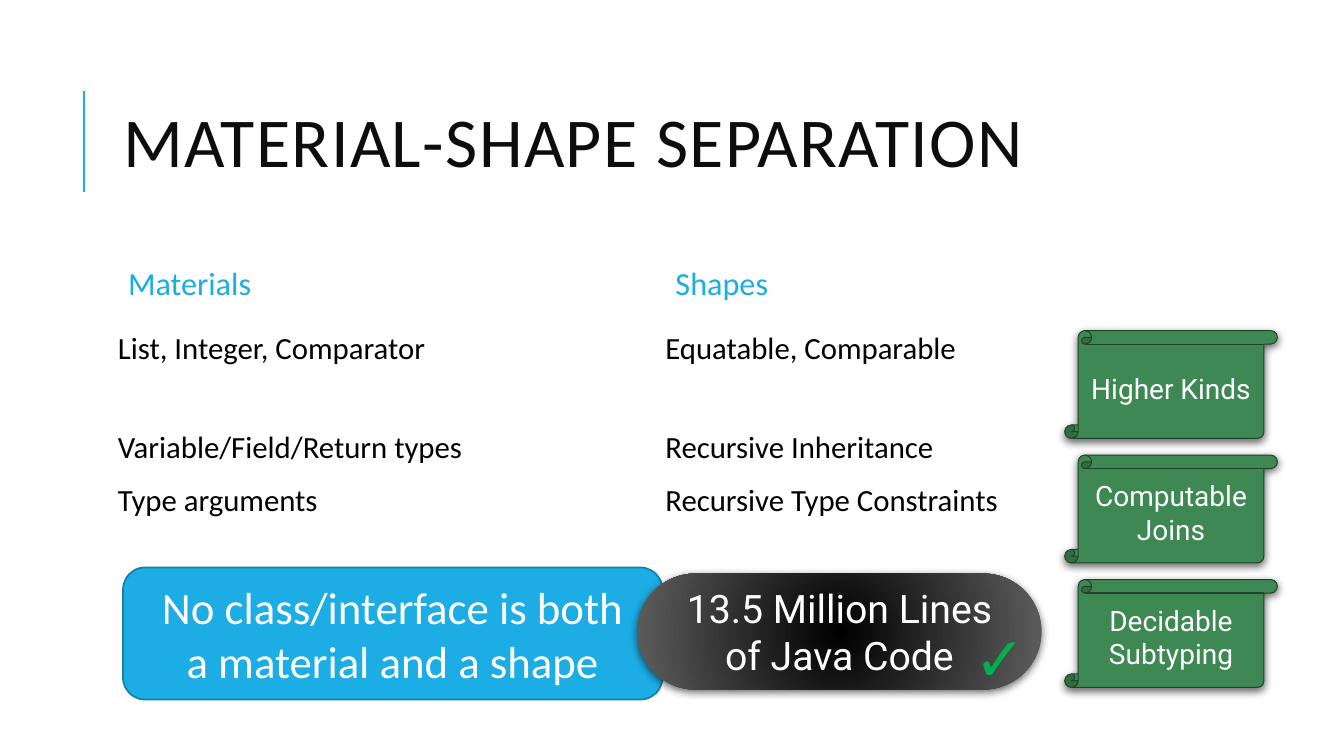
from lxml import etree
from pptx import Presentation
from pptx.dml.color import RGBColor
from pptx.enum.shapes import MSO_CONNECTOR, MSO_SHAPE
from pptx.enum.text import MSO_ANCHOR, MSO_AUTO_SIZE, PP_ALIGN
from pptx.oxml import parse_xml
from pptx.oxml.ns import nsdecls, qn
from pptx.util import Inches, Pt

STRAIGHT = MSO_CONNECTOR.STRAIGHT
ROUNDED, SCROLL = MSO_SHAPE.ROUNDED_RECTANGLE, MSO_SHAPE.VERTICAL_SCROLL
TOP, MIDDLE = MSO_ANCHOR.TOP, MSO_ANCHOR.MIDDLE
LEFT, CENTER = PP_ALIGN.LEFT, PP_ALIGN.CENTER
FIXED = MSO_AUTO_SIZE.NONE

BLUE = RGBColor(0x1C, 0xAD, 0xE4)
DARK_BLUE = RGBColor(0x15, 0x80, 0xA9)
GREEN = RGBColor(0x3E, 0x88, 0x53)
DARK_GREEN = RGBColor(0x1F, 0x44, 0x2A)
CHECK_GREEN = RGBColor(0x00, 0xB0, 0x50)
NAVY = RGBColor(0x00, 0x20, 0x60)
GRAY = RGBColor(0x5E, 0x5E, 0x5E)
INK = RGBColor(0x0D, 0x0D, 0x0D)
BLACK = RGBColor(0, 0, 0)
WHITE = RGBColor(0xFF, 0xFF, 0xFF)
SANS, LABEL = "Calibri", "Roboto"

TITLE = "MATERIAL-SHAPE SEPARATION"
COLUMNS = [
    ("Materials", ["List, Integer, Comparator", "Variable/Field/Return types", "Type arguments"]),
    ("Shapes", ["Equatable, Comparable", "Recursive Inheritance", "Recursive Type Constraints"]),
]
RULE = "No class/interface is both\na material and a shape"
EVIDENCE = "13.5 Million Lines of Java Code"
BENEFITS = ["Higher Kinds", "Computable\nJoins", "Decidable\nSubtyping"]

COL_LEFT, COL_STEP, COL_WIDTH = 1.12, 5.43, 5.2
HEAD_TOP, HEAD_HEIGHT = 2.38, 0.9
LIST_TOP, LIST_HEIGHT = 3.25, 3.65
SCROLL_LEFT, SCROLL_TOP, SCROLL_STEP = 10.56, 3.28, 1.235
ITEM_GAP, GROUP_GAP = 12, 45.5


def box(left, top, width, height):
    return [Inches(v) for v in (left, top, width, height)]


def write(s, text, size, color, font=SANS, align=LEFT, anchor=MIDDLE, inset=0.1):
    tf = s.text_frame
    tf.text = text
    tf.word_wrap = True
    tf.auto_size = FIXED
    tf.vertical_anchor = anchor
    tf.margin_left = tf.margin_right = Inches(inset)
    for p in tf.paragraphs:
        p.alignment = align
        for r in p.runs:
            r.font.name, r.font.size, r.font.color.rgb = font, Pt(size), color
    return tf


def add_shadow(s):
    effects = s._element.spPr.find(qn("a:effectLst"))
    effects.append(parse_xml(
        f'<a:outerShdw {nsdecls("a")} blurRad="{Pt(6)}" dist="{Pt(2)}" dir="5400000" '
        f'algn="ctr" rotWithShape="0"><a:srgbClr val="{BLACK}">'
        '<a:alpha val="60000"/></a:srgbClr></a:outerShdw>'))


def add_panel(slide, kind, place, fill=None, line=None, weight=1):
    s = slide.shapes.add_shape(kind, *box(*place))
    s.shadow.inherit = False
    if fill is not None:
        s.fill.solid()
        s.fill.fore_color.rgb = fill
    if line is None:
        s.line.fill.background()
    else:
        s.line.color.rgb, s.line.width = line, Pt(weight)
    return s


def fill_radial(s, inner, outer):
    s.fill.gradient()
    for stop, color, position in zip(s.fill.gradient_stops, (inner, outer), (0, 1)):
        stop.color.rgb, stop.position = color, position
    grad = s._element.spPr.find(qn("a:gradFill"))
    grad.remove(grad.find(qn("a:lin")))
    grad.append(parse_xml(
        f'<a:path {nsdecls("a")} path="circle">'
        '<a:fillToRect l="50000" t="50000" r="50000" b="50000"/></a:path>'))


def add_title(slide):
    accent = slide.shapes.add_connector(
        STRAIGHT, Inches(0.83), Inches(1.9), Inches(0.83), Inches(0.9))
    accent.line.color.rgb, accent.line.width = BLUE, Pt(1.5)
    etree.SubElement(accent._element.spPr, qn("a:effectLst"))
    title = slide.shapes.title
    title.left, title.top, title.width, title.height = box(COL_LEFT, 0.64, 10.63, 1.64)
    p = write(title, TITLE, 50, INK).paragraphs[0]
    p.line_spacing = 0.8
    p.runs[0].font._element.set("spc", "100")


def add_columns(slide):
    for i, (heading, items) in enumerate(COLUMNS):
        left = COL_LEFT + i * COL_STEP
        s = slide.shapes.add_textbox(*box(left, HEAD_TOP, COL_WIDTH, HEAD_HEIGHT))
        write(s, heading, 23, BLUE, inset=0.15).paragraphs[0].line_spacing = 0.9
        s = slide.shapes.add_textbox(*box(left, LIST_TOP, COL_WIDTH, LIST_HEIGHT))
        tf = write(s, "\n".join(items), 22, BLACK, anchor=TOP, inset=0.05)
        for p, gap in zip(tf.paragraphs, (0, GROUP_GAP, ITEM_GAP)):
            p.line_spacing = 0.9
            p.space_before, p.space_after = Pt(gap), Pt(2)


def add_claims(slide):
    s = add_panel(slide, ROUNDED, (1.22, 5.63, 5.35, 1.31), BLUE, DARK_BLUE, 1.25)
    write(s, RULE, 32, WHITE, align=CENTER)
    s = add_panel(slide, ROUNDED, (6.32, 5.69, 4.01, 1.15))
    s.adjustments[0] = 0.5
    fill_radial(s, BLACK, GRAY)
    add_shadow(s)
    write(s, EVIDENCE, 28, WHITE, LABEL, CENTER)
    s = slide.shapes.add_textbox(*box(9.57, 6.1, 0.68, 0.84))
    tf = write(s, "✓", 44, CHECK_GREEN, anchor=TOP)
    tf.word_wrap = False
    font = tf.paragraphs[0].runs[0].font
    font.bold = True
    font._element.insert(0, parse_xml(
        f'<a:ln {nsdecls("a")} w="{Pt(0.75)}"><a:solidFill>'
        f'<a:srgbClr val="{NAVY}"/></a:solidFill></a:ln>'))


def add_benefits(slide):
    for i, benefit in enumerate(BENEFITS):
        place = SCROLL_LEFT, SCROLL_TOP + i * SCROLL_STEP, 2.11, 1.07
        s = add_panel(slide, SCROLL, place, GREEN, DARK_GREEN, 0.75)
        add_shadow(s)
        write(s, benefit, 20, WHITE, LABEL, CENTER)


def main():
    prs = Presentation()
    prs.slide_width, prs.slide_height = Inches(13.33), Inches(7.5)
    slide = prs.slides.add_slide(prs.slide_layouts[5])
    add_title(slide)
    add_columns(slide)
    add_claims(slide)
    add_benefits(slide)
    prs.save("out.pptx")


if __name__ == "__main__":
    main()
